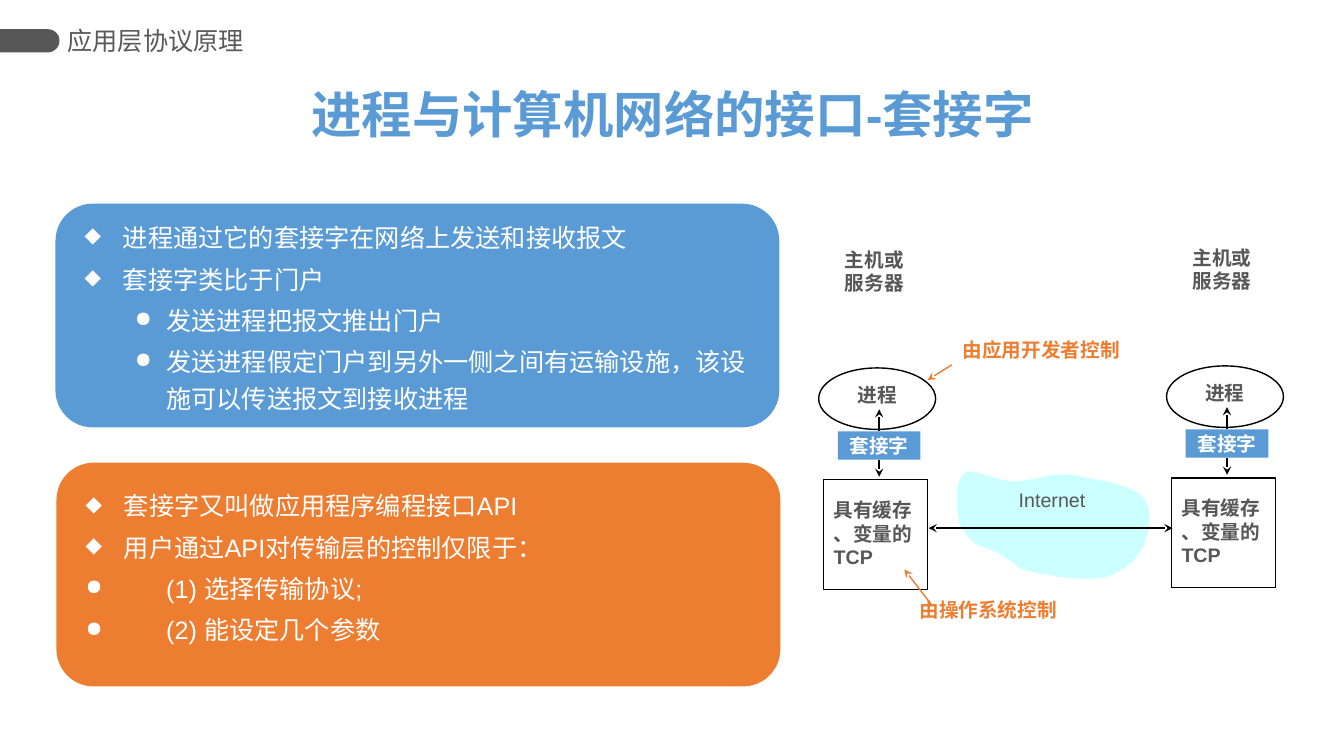
import math
from dataclasses import dataclass

import pptx
import pptx.dml.color
import pptx.enum.shapes
import pptx.enum.text
import pptx.oxml
import pptx.oxml.ns
import pptx.util
from pptx.util import Inches

SHAPE = pptx.enum.shapes.MSO_SHAPE
ALIGN = pptx.enum.text.PP_ALIGN
ANCHOR = pptx.enum.text.MSO_ANCHOR
FIT = pptx.enum.text.MSO_AUTO_SIZE


@dataclass(frozen=True)
class Theme:
    """Colours, font and type sizes of the slide."""
    font: str = "Arial"
    blue: str = "5B9BD5"
    orange: str = "ED7D31"
    cyan: str = "CCFFFF"
    gray: str = "575757"
    heading: str = "595959"
    black: str = "000000"
    white: str = "FFFFFF"
    title: int = 36
    body: int = 18
    label: int = 14
    line: int = 1


THEME = Theme()
CLOUD = [
    (1, 41), (0, 36), (0, 19), (1, 13), (3, 8), (5, 4), (8, 1), (12, 0), (18, 0), (24, 2),
    (31, 4), (45, 8), (52, 9), (59, 10), (65, 9), (71, 8), (83, 6), (89, 4), (96, 3),
    (110, 3), (119, 4), (129, 6), (139, 8), (150, 10), (160, 13), (170, 16), (178, 20),
    (184, 24), (187, 29), (190, 35), (191, 41), (191, 48), (190, 55), (189, 62), (187, 68),
    (185, 74), (182, 79), (178, 84), (174, 89), (169, 93), (164, 97), (158, 100), (152, 103),
    (145, 105), (137, 106), (118, 106), (108, 105), (99, 104), (89, 102), (81, 101),
    (74, 99), (68, 98), (63, 96), (60, 94), (57, 91), (51, 87), (45, 83), (37, 79),
    (29, 76), (21, 73), (15, 69), (10, 63), (5, 56), (3, 53), (2, 49)]


def rgb(color):
    """Turn a hex string into a colour."""
    return pptx.dml.color.RGBColor.from_string(color)


def apply_format(target, values):
    """Set each attribute of the target from a dict."""
    for name, value in values.items():
        setattr(target, name, value)


def write(para, text, size, color, bold=False):
    """Add a formatted run to a paragraph."""
    span = para.add_run()
    span.text = text
    apply_format(span.font, {"name": THEME.font, "size": pptx.util.Pt(size), "bold": bold})
    span.font.color.rgb = rgb(color)


def add_text(page, box, lines, size, color, bold=False, align=ALIGN.LEFT, **frame):
    """Place a text box holding one paragraph per line."""
    text_frame = page.shapes.add_textbox(*map(Inches, box)).text_frame
    apply_format(text_frame, {"word_wrap": True, **frame})
    for index, line in enumerate(lines):
        para = text_frame.add_paragraph() if index else text_frame.paragraphs[0]
        para.alignment = align
        write(para, line, size, color, bold)
    return text_frame


def add_label(page, box, lines, color=THEME.gray, bold=True, align=ALIGN.LEFT):
    """Place a diagram label that grows with its text."""
    add_text(page, box, lines, THEME.label, color, bold, align,
             word_wrap=False, auto_size=FIT.SHAPE_TO_FIT_TEXT)


def paint(shape, fill=None, line=None):
    """Give a shape a flat fill or an outline."""
    shape.shadow.inherit = False
    if fill:
        shape.fill.solid()
        shape.fill.fore_color.rgb = rgb(fill)
    else:
        shape.fill.background()
    if line:
        shape.line.color.rgb = rgb(line)
        shape.line.width = pptx.util.Pt(THEME.line)
    else:
        shape.line.fill.background()
    return shape


def add_box(page, kind, box, fill=None, line=None):
    """Place a preset shape."""
    return paint(page.shapes.add_shape(kind, *map(Inches, box)), fill, line)


def add_outline(page, points, fill):
    """Place a closed outline through points given in inches."""
    corners = [(Inches(x), Inches(y)) for x, y in points]
    builder = page.shapes.build_freeform(*corners[0])
    builder.add_line_segments(corners[1:], close=True)
    paint(builder.convert_to_shape(), fill)


def add_arrow(page, start, end, color=THEME.black, heads=("tailEnd",)):
    """Draw a straight line with stealth arrowheads."""
    arrow = page.shapes.add_connector(
        pptx.enum.shapes.MSO_CONNECTOR.STRAIGHT, *map(Inches, start + end))
    arrow.line.color.rgb = rgb(color)
    arrow.line.width = pptx.util.Pt(THEME.line)
    for head in heads:
        element = pptx.oxml.parse_xml(
            f'<a:{head} {pptx.oxml.ns.nsdecls("a")} type="stealth"/>')
        arrow.line._get_or_add_ln().append(element)
    arrow._element.spPr.append(
        pptx.oxml.parse_xml(f'<a:effectLst {pptx.oxml.ns.nsdecls("a")}/>'))
    return arrow


def add_bullet(para, mark, margin, hanging):
    """Give a paragraph a bullet with a hanging indent."""
    props = para._p.get_or_add_pPr()
    props.set("marL", str(Inches(margin)))
    props.set("indent", str(-Inches(hanging)))
    for tag in ('buSzPct val="85000"', f'buChar char="{mark}"'):
        props.append(pptx.oxml.parse_xml(f'<a:{tag} {pptx.oxml.ns.nsdecls("a")}/>'))


def add_panel(page, box, color, text_top, items):
    """Build a rounded panel with a bulleted list."""
    left, top = box[:2]
    add_box(page, SHAPE.ROUNDED_RECTANGLE, box, color)
    frame = add_text(page, (left + 0.19, top + text_top, 6.81, 1.88),
                     [item[0] for item in items], THEME.body, THEME.white)
    for index, (para, item) in enumerate(zip(frame.paragraphs, items)):
        add_bullet(para, *item[1:])
        apply_format(para, {"line_spacing": 1.2,
                            "space_before": pptx.util.Pt(3.6 if index else 0)})


def add_host(page, left, top):
    """Build one host: process, socket and TCP box."""
    add_box(page, SHAPE.OVAL, (left, top + 1.24, 1.16, 0.61), line=THEME.black)
    add_label(page, (left + 0.28, top + 1.34, 0.6, 0.34), ["进程"], align=ALIGN.CENTER)
    add_box(page, SHAPE.RECTANGLE, (left + 0.05, top + 2.35, 1.03, 1.09), line=THEME.black)
    add_label(page, (left + 0.05, top + 2.48, 0.99, 0.81), ["具有缓存", "、变量的", "TCP"])
    socket = add_box(page, SHAPE.RECTANGLE, (left + 0.19, top + 1.87, 0.82, 0.28), THEME.blue)
    apply_format(socket.text_frame, {"word_wrap": False, "vertical_anchor": ANCHOR.MIDDLE})
    para = socket.text_frame.paragraphs[0]
    para.alignment = ALIGN.CENTER
    write(para, "套接字", THEME.label, THEME.white, True)
    middle = left + 0.6
    for site, start, end in ((0, 1.87, 1.65), (2, 2.15, 2.32)):
        arrow = add_arrow(page, (middle, top + start), (middle, top + end))
        arrow.begin_connect(socket, site)
    add_label(page, (left + 0.16, top, 0.79, 0.57), ["主机或", "服务器"])


def add_diagram(page, left, top):
    """Build the two hosts joined through the network."""
    add_outline(page, [(left + 1.37 + x / 100, top + 2.29 + y / 100) for x, y in CLOUD],
                THEME.cyan)
    add_host(page, left, top + 0.02)
    add_host(page, left + 3.45, top)
    add_label(page, (left + 1.88, top + 2.4, 0.87, 0.34), ["Internet"],
              bold=False, align=ALIGN.CENTER)
    add_arrow(page, (left + 1.09, top + 2.85), (left + 3.51, top + 2.85),
              heads=("headEnd", "tailEnd"))
    add_label(page, (left + 0.9, top + 3.49, 1.58, 0.34), ["由操作系统控制"], THEME.orange)
    add_arrow(page, (left + 1.12, top + 3.61), (left + 0.85, top + 3.26), THEME.orange)
    add_label(page, (left + 1.33, top + 0.91, 1.77, 0.34), ["由应用开发者控制"], THEME.orange)
    add_arrow(page, (left + 1.32, top + 1.23), (left + 1.08, top + 1.38), THEME.orange)


def add_header(page, left, top):
    """Build the section marker, section name and title."""
    radius, straight = 0.115, 0.475
    angles = [math.radians(step) for step in range(-90, 91, 10)]
    arc = [(left + straight + radius * math.cos(angle),
            top + 0.1 + radius * (1 + math.sin(angle))) for angle in angles]
    add_outline(page, [(left, arc[0][1]), *arc, (left, arc[-1][1])], THEME.gray)
    add_text(page, (left + 0.67, top, 2.33, 0.42), ["应用层协议原理"], THEME.body,
             THEME.heading, vertical_anchor=ANCHOR.MIDDLE, margin_left=0, margin_right=0)
    add_text(page, (left + 2.95, top + 0.59, 7.44, 0.71), ["进程与计算机网络的接口-套接字"],
             THEME.title, THEME.blue, True, ALIGN.CENTER)


def main():
    """Build the slide and save it."""
    deck = pptx.Presentation()
    apply_format(deck, {"slide_width": Inches(13.33), "slide_height": Inches(7.5)})
    page = deck.slides.add_slide(deck.slide_layouts[6])
    diamond, dot, step = ("◆", 0.38, 0.38), ("●", 0.81, 0.31), ("●", 0.8, 0.8)
    add_panel(page, (0.55, 2.02, 7.18, 2.22), THEME.blue, 0.08, [
        ("进程通过它的套接字在网络上发送和接收报文", *diamond),
        ("套接字类比于门户", *diamond),
        ("发送进程把报文推出门户", *dot),
        ("发送进程假定门户到另外一侧之间有运输设施，该设施可以传送报文到接收进程", *dot)])
    add_diagram(page, 8.12, 2.39)
    add_panel(page, (0.56, 4.59, 7.18, 2.22), THEME.orange, 0.17, [
        ("套接字又叫做应用程序编程接口API", *diamond),
        ("用户通过API对传输层的控制仅限于：", *diamond),
        ("(1) 选择传输协议;", *step),
        ("(2) 能设定几个参数", *step)])
    add_header(page, 0, 0.19)
    deck.save("out.pptx")


if __name__ == "__main__":
    main()
